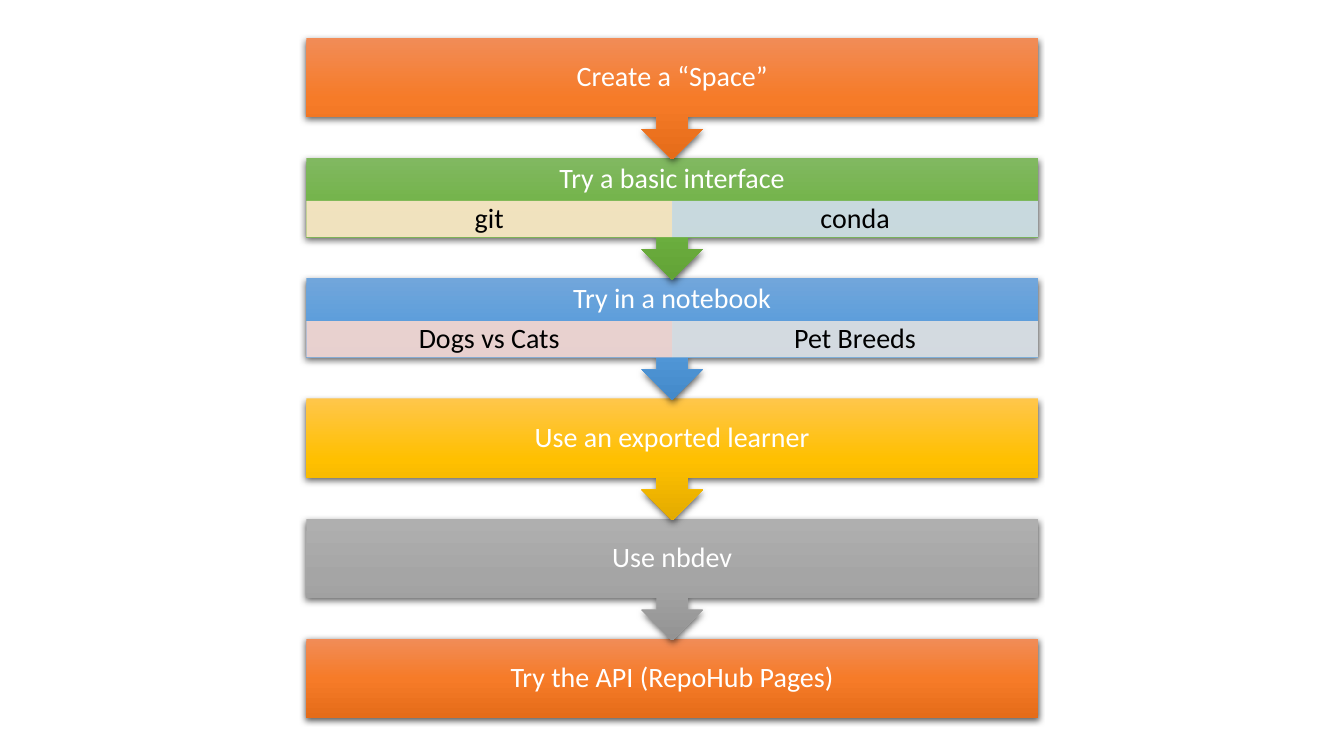
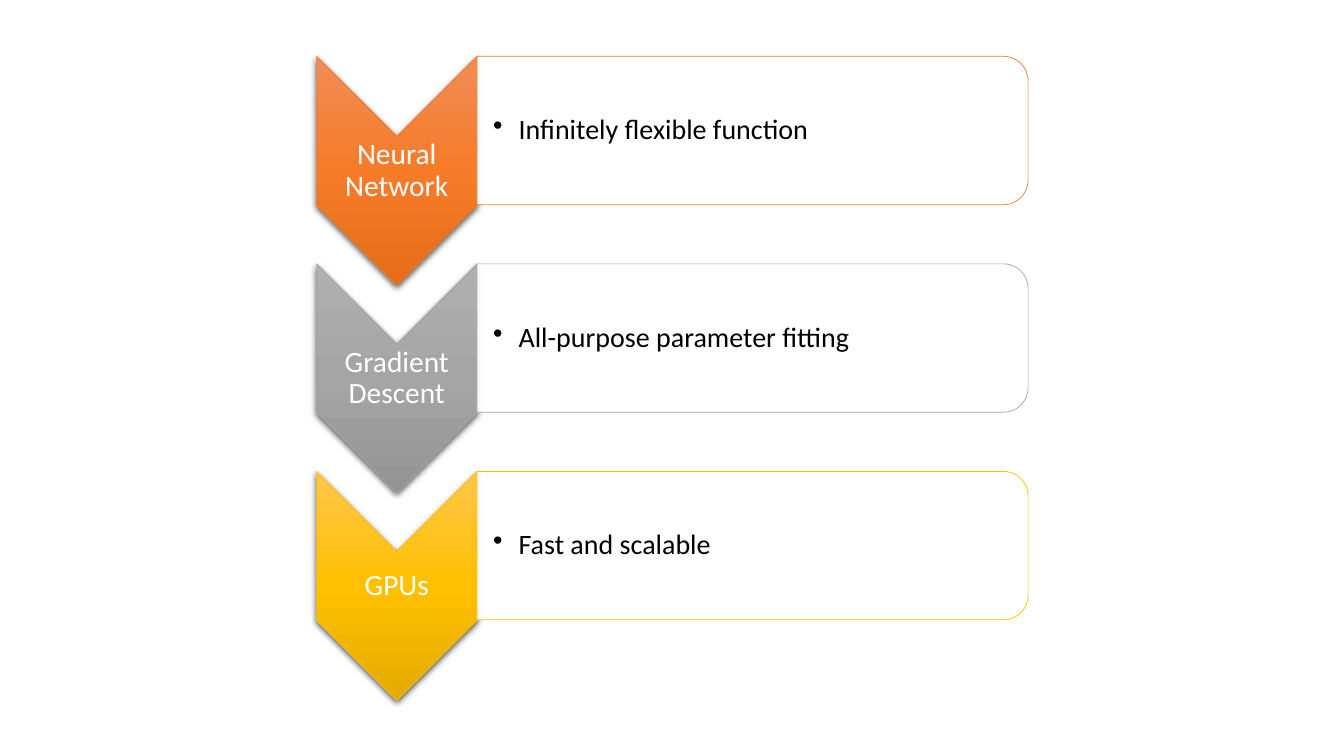
"""Build two diagram slides: a flow of steps and a list of key parts."""
from lxml import etree
from pptx import Presentation
from pptx import util as u
from pptx.dml.color import RGBColor
from pptx.enum import shapes, text
from pptx.oxml.ns import qn

Cm, Pt = u.Cm, u.Pt
KIND = shapes.MSO_SHAPE
FONT = "Calibri"
WHITE, BLACK = "FFFFFF", "000000"
ORANGE = ("F18C57", "F67B28", "E56C19")
GREEN = ("81B861", "6FB242", "62A336")
BLUE = ("71A6DB", "559BDB", "448ACA")
GOLD = ("FFC64B", "FFC000", "E3AB00")
GRAY = ("AFAFAF", "A5A5A5", "939393")

STEPS = [
    ("Create a “Space”", ORANGE, []),
    ("Try a basic interface", GREEN, [("git", "FFE8CC"), ("conda", "D2DEEF")]),
    ("Try in a notebook", BLUE, [("Dogs vs Cats", "F8D7CE"), ("Pet Breeds", "E1E1E1")]),
    ("Use an exported learner", GOLD, []),
    ("Use nbdev", GRAY, []),
    ("Try the API (RepoHub Pages)", ORANGE, []),
]
PARTS = [
    ("Neural Network", "Infinitely flexible function", ORANGE, "ED7D31"),
    ("Gradient Descent", "All-purpose parameter fitting", GRAY, "A5A5A5"),
    ("GPUs", "Fast and scalable", GOLD, "FFC000"),
]


def color(target, code):
    """Set a colour format from a hex string."""
    target.rgb = RGBColor.from_string(code)


def node(parent, tag, **attrs):
    """Append a DrawingML element to a parent."""
    return etree.SubElement(parent, qn("a:" + tag), attrs)


def shade(shape, tones):
    """Fill a shape with an upright gradient of three tones."""
    shape.fill.gradient()
    shape.fill.gradient_angle = 270
    grad = shape._element.spPr.find(qn("a:gradFill"))
    grad.set("rotWithShape", "0")
    stops = grad.find(qn("a:gsLst"))
    for stop in list(stops):
        stops.remove(stop)
    for i, tone in enumerate(tones):
        node(node(stops, "gs", pos=str(i * 50000)), "srgbClr", val=tone)


def drop(shape):
    """Give a shape a soft shadow below it."""
    glow = node(shape._element.spPr.find(qn("a:effectLst")), "outerShdw", blurRad="57150",
                dist="19050", dir="5400000", algn="ctr", rotWithShape="0")
    node(node(glow, "srgbClr", val=BLACK), "alpha", val="63000")


def tint(shape, code):
    """Fill a shape with a slightly see-through colour."""
    shape.fill.solid()
    color(shape.fill.fore_color, code)
    tone = shape._element.spPr.find(qn("a:solidFill"))[0]
    node(tone, "alpha", val="90000")


def edge(shape, code):
    """Draw a thin outline."""
    shape.line.fill.solid()
    color(shape.line.color, code)
    shape.line.width = Pt(0.5)


def block(slide, kind, left, top, width, height):
    """Add a preset shape with no line or shadow."""
    shape = slide.shapes.add_shape(kind, Cm(left), Cm(top), Cm(width), Cm(height))
    shape.shadow.inherit = False
    shape.line.fill.background()
    return shape


def turned(slide, kind, left, top, width, height):
    """Add a shape turned a quarter so that it covers the given box."""
    shift = (width - height) / 2
    shape = block(slide, kind, left + shift, top - shift, height, width)
    shape.rotation = 90
    return shape


def write(shape, words, code, size=20, inset=0, foot=0, bullet=False):
    """Write one paragraph, centred or bulleted, in the middle of a shape."""
    frame = shape.text_frame
    frame.word_wrap = True
    frame.vertical_anchor = text.MSO_ANCHOR.MIDDLE
    frame.margin_top = frame.margin_right = 0
    frame.margin_left, frame.margin_bottom = Cm(inset), Cm(foot)
    para = frame.paragraphs[0]
    para.text = words
    para.line_spacing = 0.9
    if bullet:
        props = para._p.get_or_add_pPr()
        props.set("marL", str(Cm(0.64)))
        props.set("indent", str(-Cm(0.64)))
        node(props, "buChar", char="•")
    para.alignment = text.PP_ALIGN.LEFT if bullet else text.PP_ALIGN.CENTER
    para.font.name, para.font.size = FONT, Pt(size)
    color(para.font.color, code)


def label(slide, left, top, width, height, words, code, **style):
    """Add a text box."""
    box = slide.shapes.add_textbox(Cm(left), Cm(top), Cm(width), Cm(height))
    write(box, words, code, **style)


def flow(slide):
    """Draw the steps from the last up, so arrows lie over the next step."""
    left, top, width, body, pitch = 7.72, 0.95, 18.44, 2, 3.03
    tall, low = 3.07, 0.92
    last = len(STEPS) - 1
    for i, (words, tones, cells) in reversed(list(enumerate(STEPS))):
        y = top + i * pitch
        if i == last:
            step = block(slide, KIND.RECTANGLE, left, y, width, body)
        else:
            step = block(slide, KIND.DOWN_ARROW_CALLOUT, left, y, width, tall)
            step.adjustments[3] = body / tall
        shade(step, tones)
        drop(step)
        write(step, words, WHITE, foot=low if cells else 0)
        for j, (name, code) in enumerate(cells):
            half = width / len(cells)
            cell = block(slide, KIND.RECTANGLE, left + j * half, y + body - low, half, low)
            tint(cell, code)
            write(cell, name, BLACK)


def parts(slide):
    """Draw a chevron and a panel for each part."""
    left, top, width, pitch = 7.98, 1.42, 4.04, 5.23
    for i, (name, words, tones, code) in enumerate(PARTS):
        y = top + i * pitch
        mark = turned(slide, KIND.CHEVRON, left, y, width, 5.77)
        shade(mark, tones)
        edge(mark, code)
        drop(mark)
        label(slide, left, y + 2.02, width, 1.73, name, WHITE, size=21)
        area = (left + width, y, 13.89, 3.74)
        panel = turned(slide, KIND.ROUND_2_SAME_RECTANGLE, *area)
        tint(panel, WHITE)
        edge(panel, code)
        label(slide, *area, words, BLACK, inset=0.41, bullet=True)


def main():
    """Build and save the slides."""
    deck = Presentation()
    deck.slide_width, deck.slide_height = Cm(33.87), Cm(19.05)
    for draw in (flow, parts):
        draw(deck.slides.add_slide(deck.slide_layouts[6]))
    deck.save("out.pptx")


if __name__ == "__main__":
    main()
